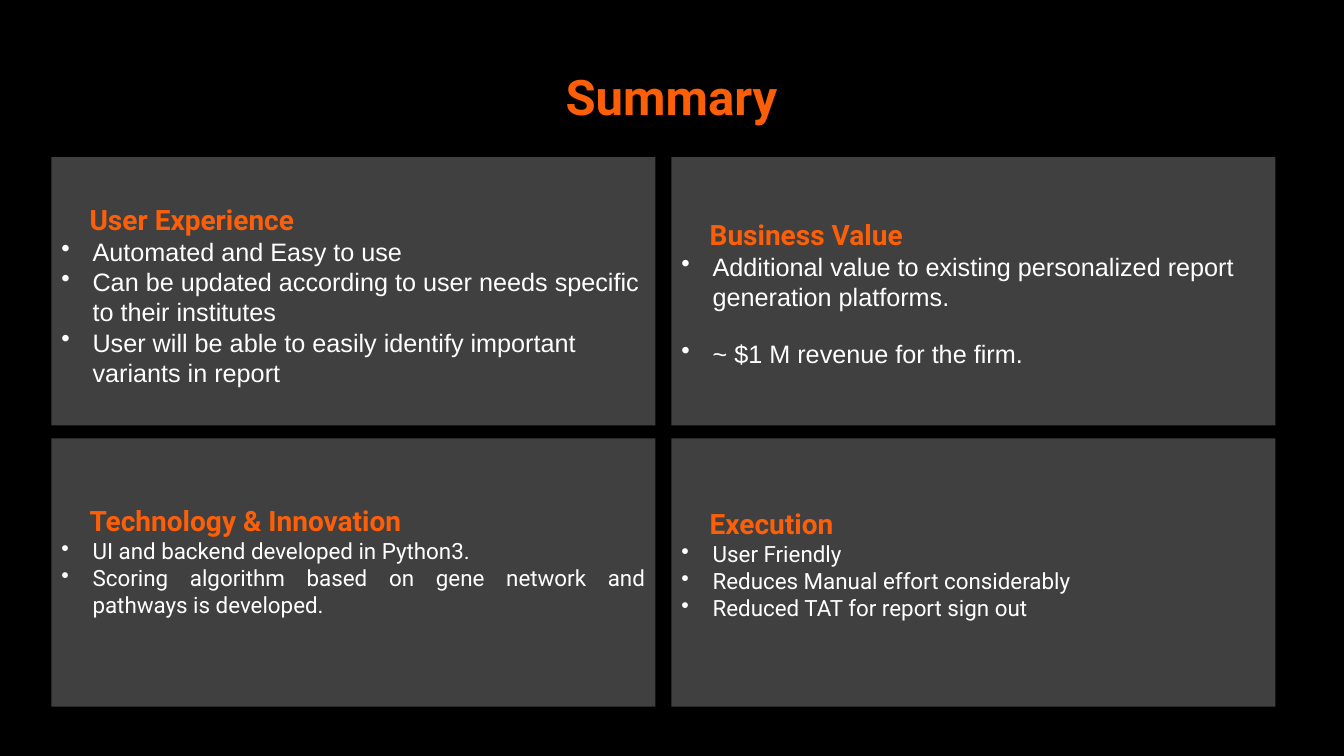
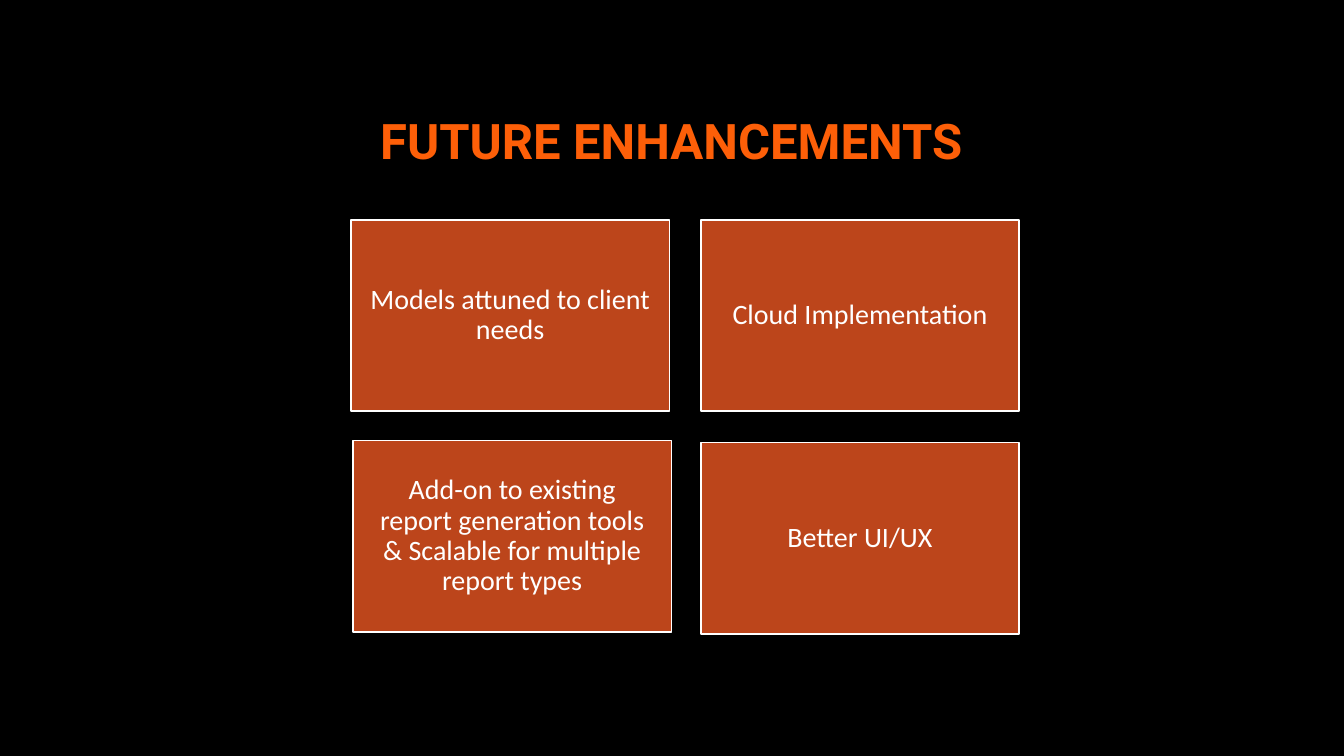
import dataclasses
import pptx
import pptx.dml.color
import pptx.enum.dml
import pptx.enum.shapes
import pptx.enum.text
import pptx.util
from lxml import etree

Inches = pptx.util.Inches
Pt = pptx.util.Pt
Align = pptx.enum.text.PP_ALIGN
Anchor = pptx.enum.text.MSO_ANCHOR


@dataclasses.dataclass(frozen=True)
class Theme:
    background: str = "000000"
    accent: str = "FD5F08"
    panel: str = "404040"
    tile: str = "BC451B"
    text: str = "FFFFFF"
    display_font: str = "Roboto"
    panel_font: str = "Arial"
    tile_font: str = "Calibri"
    title_size: float = 35
    heading_size: float = 20
    large_size: float = 18
    small_size: float = 16


THEME = Theme()
BULLET_INDENT = 0.31
HEADING_INDENT = 0.28

SUMMARY_GRID = dict(left=0.51, top=1.56, width=5.99, height=2.66, gap_x=0.16, gap_y=0.13)
FUTURE_GRID = dict(left=3.48, top=2.18, width=3.16, height=1.9, gap_x=0.31, gap_y=0.31)

LARGE = dict(font=THEME.panel_font, size=THEME.large_size)
SMALL = dict(font=THEME.display_font, size=THEME.small_size)

# text_top is the distance from the panel's upper edge to its heading.
SUMMARY = [
    dict(heading="User Experience", text_top=0.45, style=LARGE, points=[
        "Automated and Easy to use",
        "Can be updated according to user needs specific to their institutes",
        "User will be able to easily identify important variants in report",
    ]),
    dict(heading="Business Value", text_top=0.6, style=LARGE, point_gap=19, points=[
        "Additional value to existing personalized report generation platforms.",
        "~ $1 M revenue for the firm.",
    ]),
    dict(heading="Technology & Innovation", text_top=0.65, style=SMALL,
         align=Align.JUSTIFY, points=[
             "UI and backend developed in Python3.",
             "Scoring algorithm based on gene network and pathways is developed.",
         ]),
    dict(heading="Execution", text_top=0.68, style=SMALL, align=Align.JUSTIFY, points=[
        "User Friendly",
        "Reduces Manual effort considerably",
        "Reduced TAT for report sign out",
    ]),
]

# Each tile: text, then its shift from the grid.
FUTURE = [
    ("Models attuned to client needs", (0, 0)),
    ("Cloud Implementation", (0, 0)),
    ("Add-on to existing\vreport generation tools\v& Scalable for multiple report types",
     (0.02, -0.02)),
    ("Better UI/UX", (0, 0)),
]


def rgb(value):
    return pptx.dml.color.RGBColor.from_string(value)


def write(para, text, *, font, size, color=THEME.text, bold=False, align=Align.LEFT):
    para.text = text
    para.alignment = align
    para.font.name = font
    para.font.size = Pt(size)
    para.font.bold = bold
    para.font.color.rgb = rgb(color)
    for span in para.runs:
        span.font.name = font
        span.font.size = Pt(size)
        span.font.bold = bold
        span.font.color.rgb = rgb(color)


def indent(para, margin, first_line=0, bullet=None):
    properties = para._p.get_or_add_pPr()
    properties.set("marL", str(Inches(margin)))
    properties.set("indent", str(Inches(first_line)))
    if bullet:
        mark = properties.makeelement(pptx.oxml.ns.qn("a:buChar"), {"char": bullet})
        defaults = properties.find(pptx.oxml.ns.qn("a:defRPr"))
        if defaults is None:
            properties.append(mark)
        else:
            defaults.addprevious(mark)


def add_page(deck, title, top):
    page = deck.slides.add_slide(deck.slide_layouts[5])
    box = page.shapes.title
    box.left, box.top = Inches(1), Inches(top)
    box.width, box.height = Inches(11.32), Inches(1.06)
    frame = box.text_frame
    frame.auto_size = pptx.enum.text.MSO_AUTO_SIZE.NONE
    frame.vertical_anchor = Anchor.BOTTOM
    write(frame.paragraphs[0], title, font=THEME.display_font, size=THEME.title_size,
          color=THEME.accent, bold=True, align=Align.CENTER)
    return page


def grid_cell(index, *, left, top, width, height, gap_x, gap_y):
    """Return left, top, width and height of a cell in a two-column grid."""
    row, column = divmod(index, 2)
    return left + column * (width + gap_x), top + row * (height + gap_y), width, height


def add_rectangle(page, place, fill, line=None):
    box = page.shapes.add_shape(pptx.enum.shapes.MSO_SHAPE.RECTANGLE, *map(Inches, place))
    box.shadow.inherit = False
    box.fill.solid()
    box.fill.fore_color.rgb = rgb(fill)
    if line:
        box.line.color.rgb = rgb(line)
        box.line.width = Pt(1.25)
    else:
        box.line.fill.background()
    box.text_frame.word_wrap = True
    return box


def add_panel(page, place, *, heading, text_top, style, points, point_gap=0,
              align=Align.LEFT):
    frame = add_rectangle(page, place, THEME.panel).text_frame
    frame.vertical_anchor = Anchor.TOP
    frame.margin_top = Inches(text_top)
    para = frame.paragraphs[0]
    write(para, heading, font=THEME.display_font, size=THEME.heading_size,
          color=THEME.accent, bold=True)
    indent(para, HEADING_INDENT)
    for number, point in enumerate(points):
        para = frame.add_paragraph()
        write(para, point, align=align, **style)
        para.space_before = Pt(point_gap if number else 0)
        indent(para, BULLET_INDENT, -BULLET_INDENT, "•")


def add_tile(page, place, text):
    frame = add_rectangle(page, place, THEME.tile, THEME.text).text_frame
    frame.vertical_anchor = Anchor.MIDDLE
    frame.margin_left = frame.margin_right = Inches(0.08)
    frame.margin_top = frame.margin_bottom = Inches(0.08)
    para = frame.paragraphs[0]
    write(para, text, font=THEME.tile_font, size=THEME.heading_size, align=Align.CENTER)
    para.line_spacing = 0.9


def main():
    deck = pptx.Presentation()
    deck.slide_width, deck.slide_height = Inches(13.33), Inches(7.5)
    backdrop = deck.slide_master.background.fill
    backdrop.solid()
    backdrop.fore_color.rgb = rgb(THEME.background)

    page = add_page(deck, "Summary", 0.23)
    for index, panel in enumerate(SUMMARY):
        add_panel(page, grid_cell(index, **SUMMARY_GRID), **panel)

    page = add_page(deck, "FUTURE ENHANCEMENTS", 0.67)
    for index, (text, (shift_x, shift_y)) in enumerate(FUTURE):
        left, top, width, height = grid_cell(index, **FUTURE_GRID)
        add_tile(page, (left + shift_x, top + shift_y, width, height), text)

    deck.save("out.pptx")


if __name__ == "__main__":
    main()
